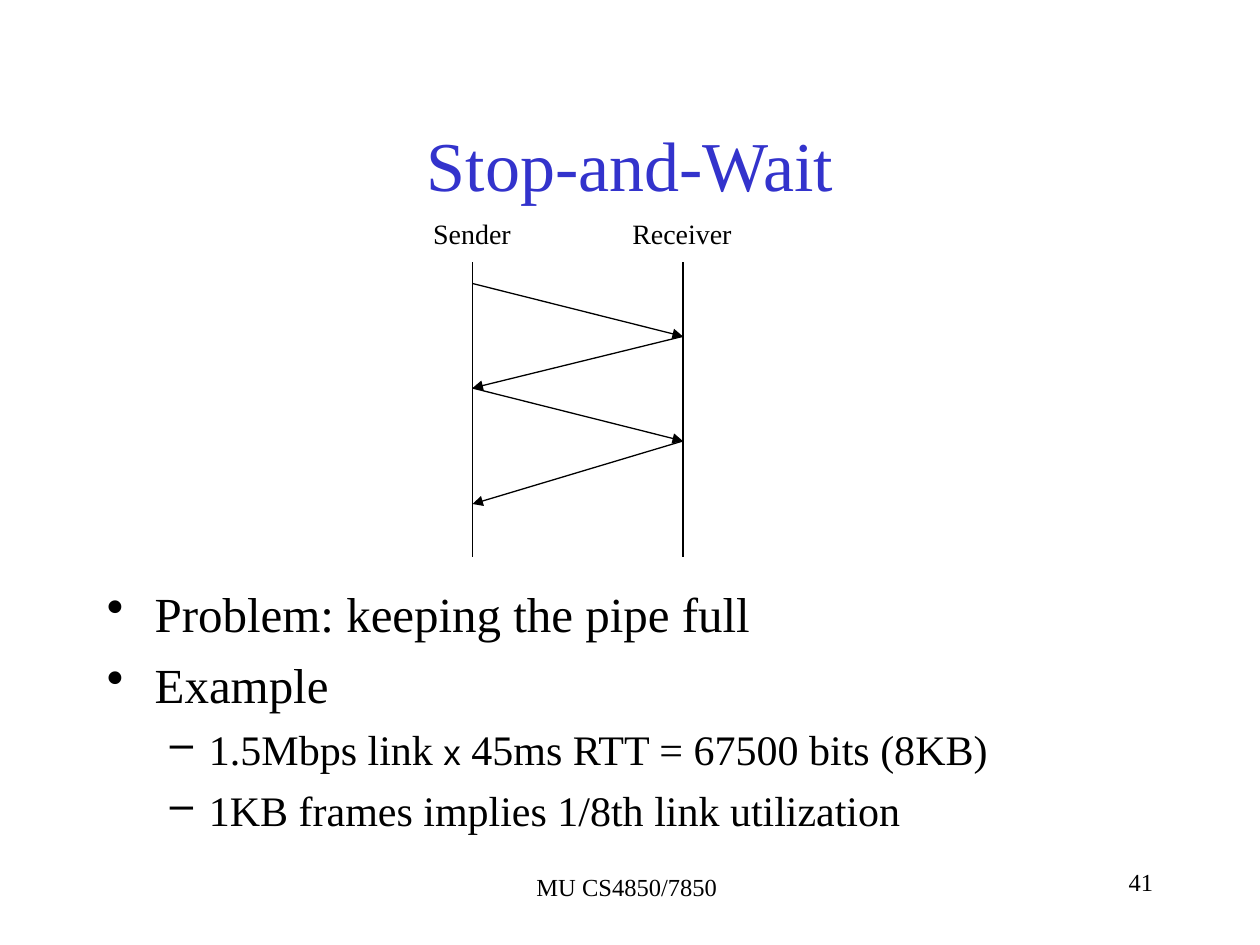
from lxml import etree
from pptx import Presentation
from pptx.dml.color import RGBColor
from pptx.enum.shapes import MSO_CONNECTOR
from pptx.enum.text import MSO_ANCHOR, MSO_AUTO_SIZE, PP_ALIGN
from pptx.oxml.ns import qn
from pptx.util import Inches, Pt

COLORS = {"title": "3333CC", "ink": "000000"}
SERIF = "Times New Roman"


def add_run(paragraph, text, size, color="ink", font=SERIF):
    run = paragraph.add_run()
    run.text = text
    run.font.size = Pt(size)
    run.font.name = font
    run.font.color.rgb = RGBColor.from_string(COLORS[color])


def add_line(slide, start, end, arrow=False):
    line = slide.shapes.add_connector(
        MSO_CONNECTOR.STRAIGHT, *[Inches(value) for value in (*start, *end)])
    line.line.width = Pt(0.75)
    line.line.color.rgb = RGBColor.from_string(COLORS["ink"])
    if arrow:
        outline = line.line._get_or_add_ln()
        etree.SubElement(outline, qn("a:tailEnd"), type="triangle")
    etree.SubElement(line._element.spPr, qn("a:effectLst"))


presentation = Presentation()
presentation.slide_width = Inches(10)
presentation.slide_height = Inches(7.5)
slide = presentation.slides.add_slide(presentation.slide_layouts[5])

# Title
title = slide.shapes.title
title.left, title.top = Inches(0.75), Inches(0.67)
title.width, title.height = Inches(8.5), Inches(1.25)
title.text_frame.vertical_anchor = MSO_ANCHOR.MIDDLE
title_paragraph = title.text_frame.paragraphs[0]
title_paragraph.alignment = PP_ALIGN.CENTER
add_run(title_paragraph, "Stop-and-Wait", 40, "title")

# Bulleted text: level, then runs of text, size and font
body_paragraphs = [
    (0, [("Problem: keeping the pipe full", 28, SERIF)]),
    (0, [("Example", 28, SERIF)]),
    (1, [("1.5Mbps link ", 24, SERIF), ("x", 20, "Arial"),
         (" 45ms RTT = 67500 bits (8KB)", 24, SERIF)]),
    (1, [("1KB frames implies 1/8th link utilization", 24, SERIF)]),
]
level_styles = [("•", 0.38, 0.38, 7), ("–", 0.81, 0.31, 6)]

body = slide.shapes.add_textbox(Inches(0.75), Inches(4.58), Inches(8.5), Inches(2.25))
body.text_frame.word_wrap = True
for index, (level, runs) in enumerate(body_paragraphs):
    paragraph = body.text_frame.add_paragraph() if index else body.text_frame.paragraphs[0]
    bullet, indent, hanging, space_before = level_styles[level]
    paragraph.level = level
    paragraph.space_before = Pt(space_before)
    properties = paragraph._p.get_or_add_pPr()
    properties.set("marL", str(Inches(indent)))
    properties.set("indent", str(-Inches(hanging)))
    bullet_color = etree.SubElement(properties, qn("a:buClr"))
    etree.SubElement(bullet_color, qn("a:srgbClr"), val=COLORS["ink"])
    etree.SubElement(properties, qn("a:buChar"), char=bullet)
    for text, size, font in runs:
        add_run(paragraph, text, size, font=font)

# Timelines, and the messages that bounce between them
sender_x, receiver_x = 3.75, 5.42
for x in (sender_x, receiver_x):
    add_line(slide, (x, 2.08), (x, 4.42))

message_times = [2.25, 2.67, 3.08, 3.5, 4]
ends = [sender_x, receiver_x]
for sent, received in zip(message_times, message_times[1:]):
    add_line(slide, (ends[0], sent), (ends[1], received), arrow=True)
    ends.reverse()

# Timeline labels and footer; the labels stay on one line
labels = [
    ("Sender", 3.34, 1.67, 0.83, 0.37, 16, PP_ALIGN.LEFT, False),
    ("Receiver", 4.92, 1.67, 1.01, 0.37, 16, PP_ALIGN.LEFT, False),
    ("MU CS4850/7850", 3.39, 6.87, 3.17, 0.5, 14, PP_ALIGN.CENTER, True),
    ("41", 7.17, 6.83, 2.08, 0.5, 14, PP_ALIGN.RIGHT, True),
]
for text, left, top, width, height, size, alignment, wrap in labels:
    label = slide.shapes.add_textbox(
        Inches(left), Inches(top), Inches(width), Inches(height))
    label.text_frame.word_wrap = wrap
    if not wrap:
        label.text_frame.auto_size = MSO_AUTO_SIZE.SHAPE_TO_FIT_TEXT
    paragraph = label.text_frame.paragraphs[0]
    paragraph.alignment = alignment
    add_run(paragraph, text, size)

presentation.save("out.pptx")
